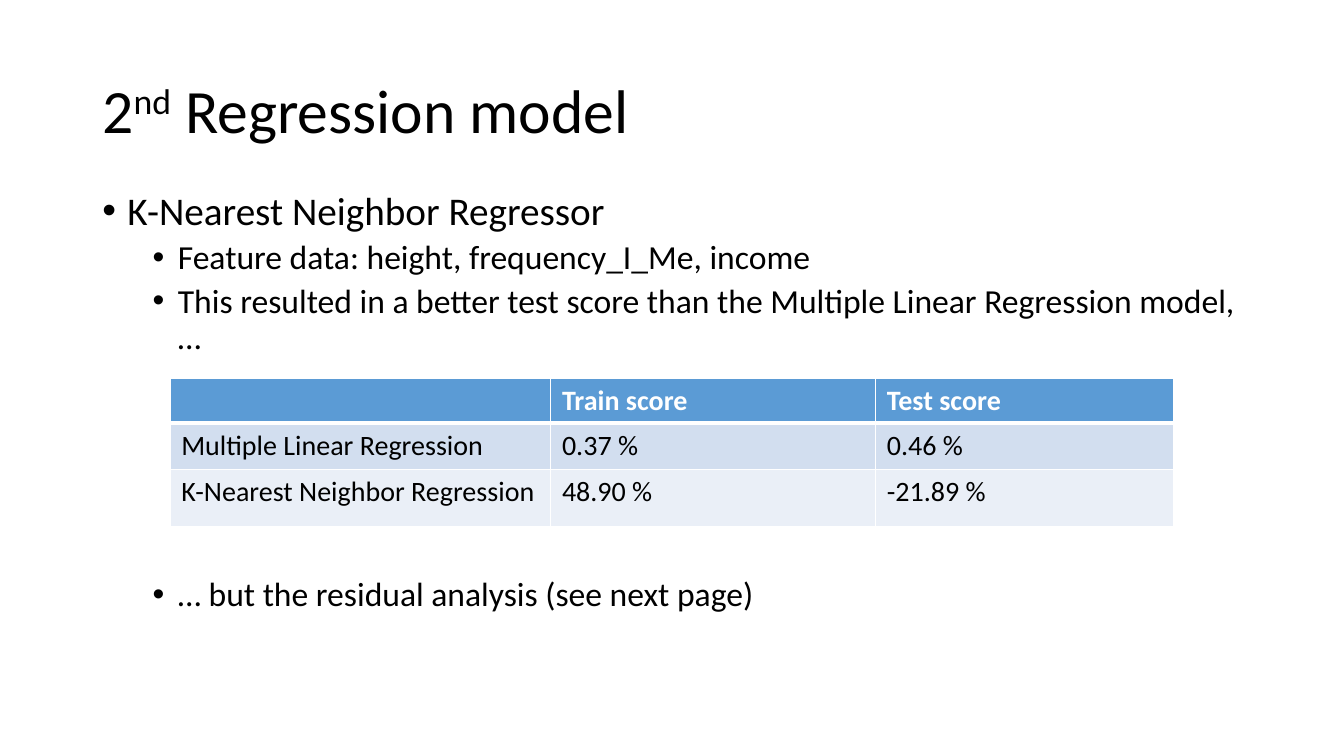
from lxml import etree
from pptx import Presentation
from pptx.dml.color import RGBColor
from pptx.enum.text import MSO_ANCHOR, MSO_AUTO_SIZE, PP_ALIGN
from pptx.oxml.ns import qn
from pptx.util import Pt

MIDDLE = MSO_ANCHOR.MIDDLE
LEFT = PP_ALIGN.LEFT
NO_AUTOFIT = MSO_AUTO_SIZE.NONE
TITLE_ONLY = 5

BLACK = RGBColor(0x00, 0x00, 0x00)
WHITE = RGBColor(0xFF, 0xFF, 0xFF)
HEADER_BLUE = RGBColor(0x5B, 0x9B, 0xD5)
BAND_BLUE = RGBColor(0xD2, 0xDE, 0xEF)
PALE_BLUE = RGBColor(0xEA, 0xEF, 0xF7)


def set_font(paragraph, size, color=BLACK, bold=False):
    paragraph.font.name = "Calibri"
    paragraph.font.size = Pt(size)
    paragraph.font.color.rgb = color
    paragraph.font.bold = bold


def add_borders(cell, bottom_width):
    properties = cell._tc.get_or_add_tcPr()
    widths = {"a:lnL": 1, "a:lnR": 1, "a:lnT": 1, "a:lnB": bottom_width}
    for position, (side, width) in enumerate(widths.items()):
        line = etree.Element(qn(side), w=str(Pt(width)))
        fill = etree.SubElement(line, qn("a:solidFill"))
        etree.SubElement(fill, qn("a:srgbClr"), val=str(WHITE))
        properties.insert(position, line)


presentation = Presentation()
presentation.slide_width = Pt(960)
presentation.slide_height = Pt(540)
slide = presentation.slides.add_slide(presentation.slide_layouts[TITLE_ONLY])

# Title with a raised ordinal
title = slide.shapes.title
title.left, title.top, title.width, title.height = Pt(66), Pt(28.75), Pt(828), Pt(104.4)
title.text_frame.auto_size = NO_AUTOFIT
title.text_frame.vertical_anchor = MIDDLE
heading = title.text_frame.paragraphs[0]
heading.alignment = LEFT
heading.line_spacing = 0.9
set_font(heading, 44)
for words in ("2", "nd", " Regression model"):
    run = heading.add_run()
    run.text = words
    if words == "nd":
        run.font._element.set("baseline", "30000")

# Bullets: text, size, left margin, space before (the last one clears the table)
bullets = [
    ("K-Nearest Neighbor Regressor", 28, 18, 10),
    ("Feature data: height, frequency_I_Me, income", 24, 54, 5),
    ("This resulted in a better test score than the Multiple Linear Regression model, …", 24, 54, 5),
    ("… but the residual analysis (see next page)", 24, 54, 158),
]
findings = slide.shapes.add_textbox(Pt(66), Pt(133.2), Pt(828), Pt(378)).text_frame
findings.word_wrap = True
for index, (words, size, margin, space) in enumerate(bullets):
    finding = findings.add_paragraph() if index else findings.paragraphs[0]
    finding.text = words
    finding.level = int(margin > 18)
    finding.line_spacing = 0.9
    finding.space_before = Pt(space)
    set_font(finding, size)
    properties = finding._p.get_or_add_pPr()
    properties.set("marL", str(Pt(margin)))
    properties.set("indent", str(Pt(-18)))
    bullet_font = etree.Element(qn("a:buFont"), typeface="Arial")
    bullet = etree.Element(qn("a:buChar"), char="•")
    default_font = properties.find(qn("a:defRPr"))
    default_font.addprevious(bullet_font)
    default_font.addprevious(bullet)

# Score table
scores = [
    ("", "Train score", "Test score"),
    ("Multiple Linear Regression", "0.37 %", "0.46 %"),
    ("K-Nearest Neighbor Regression", "48.90 %", "-21.89 %"),
]
row_fills = (HEADER_BLUE, BAND_BLUE, PALE_BLUE)
score_table = slide.shapes.add_table(3, 3, Pt(121.5), Pt(270.3), Pt(717), Pt(105.5)).table
for column, width in zip(score_table.columns, (272, 232, 213)):
    column.width = Pt(width)
for row, height in zip(score_table.rows, (31.5, 33, 41)):
    row.height = Pt(height)
for row_index, row_scores in enumerate(scores):
    is_header = row_index == 0
    for column_index, score in enumerate(row_scores):
        cell = score_table.cell(row_index, column_index)
        cell.text = score
        cell.margin_left = cell.margin_right = Pt(8)
        cell.margin_top = cell.margin_bottom = Pt(4)
        cell.fill.solid()
        cell.fill.fore_color.rgb = row_fills[row_index]
        set_font(cell.text_frame.paragraphs[0], 20, WHITE if is_header else BLACK, is_header)
        add_borders(cell, 3 if is_header else 1)

presentation.save("out.pptx")
